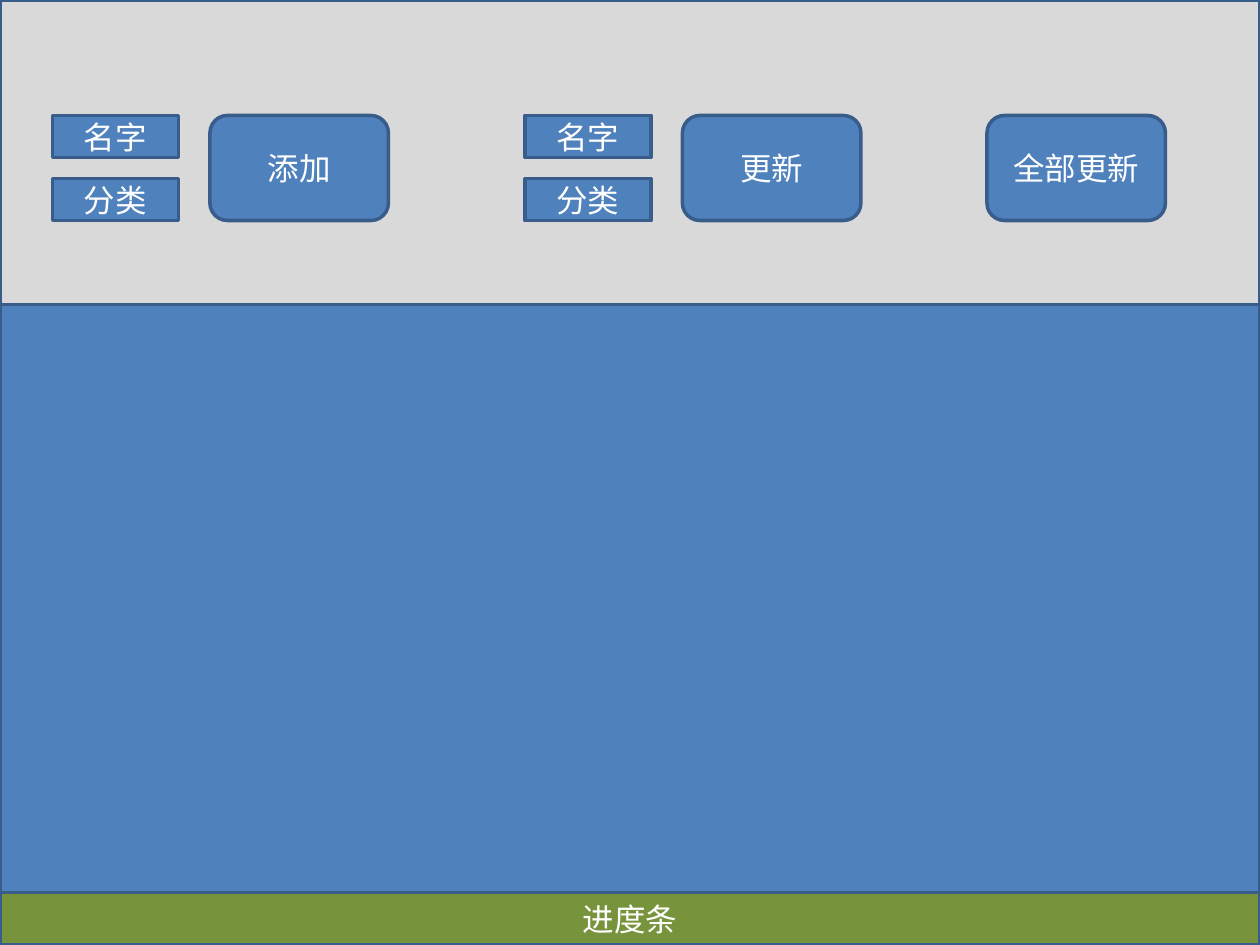
import dataclasses

import pptx
import pptx.dml.color
import pptx.enum.shapes
import pptx.enum.text
import pptx.util

SCALE = 7620  # EMU per px, 120 px to the inch
WIDE, HIGH = 1200, 900
KIND = pptx.enum.shapes.MSO_SHAPE


@dataclasses.dataclass(frozen=True)
class Theme:
    panel: str = "D9D9D9"
    blue: str = "4F81BD"
    green: str = "77933C"
    edge: str = "385D8A"
    text: str = "FFFFFF"
    font: str = "Calibri"
    size: int = 18
    line: int = 2


THEME = Theme()


def px(count):
    return pptx.util.Emu(count * SCALE)


def color(code):
    return pptx.dml.color.RGBColor.from_string(code)


def add_box(slide, left, top, width, height, label="",
            fill=THEME.blue, kind=KIND.RECTANGLE):
    """Outlined box with an optional centred label."""
    box = slide.shapes.add_shape(kind, px(left), px(top), px(width), px(height))
    box.shadow.inherit = False
    box.fill.solid()
    box.fill.fore_color.rgb = color(fill)
    box.line.color.rgb = color(THEME.edge)
    box.line.width = pptx.util.Pt(THEME.line)
    if label:
        frame = box.text_frame
        frame.word_wrap = True
        frame.vertical_anchor = pptx.enum.text.MSO_ANCHOR.MIDDLE
        para = frame.paragraphs[0]
        para.text = label
        para.alignment = pptx.enum.text.PP_ALIGN.CENTER
        para.font.name = THEME.font
        para.font.size = pptx.util.Pt(THEME.size)
        para.font.color.rgb = color(THEME.text)


def add_button(slide, left, label):
    add_box(slide, left, 110, 170, 100, label, kind=KIND.ROUNDED_RECTANGLE)


def add_form(slide, left, label):
    """Two stacked fields with their button on the right."""
    for row, field in enumerate(("名字", "分类")):
        add_box(slide, left, 110 + 60 * row, 120, 40, field)
    add_button(slide, left + 150, label)


def main():
    deck = pptx.Presentation()
    deck.slide_width, deck.slide_height = px(WIDE), px(HIGH)
    slide = deck.slides.add_slide(deck.slide_layouts[6])

    # Window and content area
    add_box(slide, 0, 0, WIDE, HIGH, fill=THEME.panel)
    add_box(slide, 0, 290, WIDE, 560)

    # Toolbar
    add_form(slide, 50, "添加")
    add_form(slide, 500, "更新")
    add_button(slide, 940, "全部更新")

    # Progress bar
    add_box(slide, 0, 850, WIDE, 50, "进度条", fill=THEME.green)

    deck.save("out.pptx")


if __name__ == "__main__":
    main()
